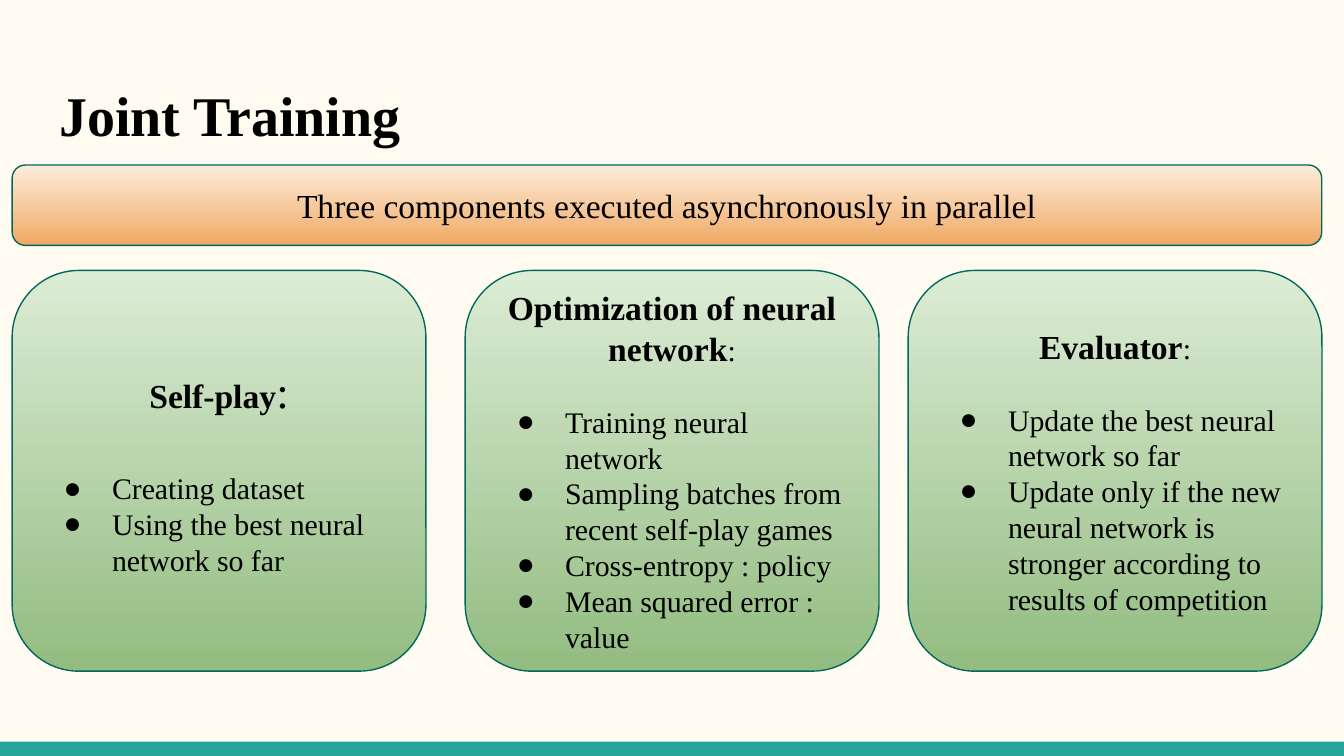
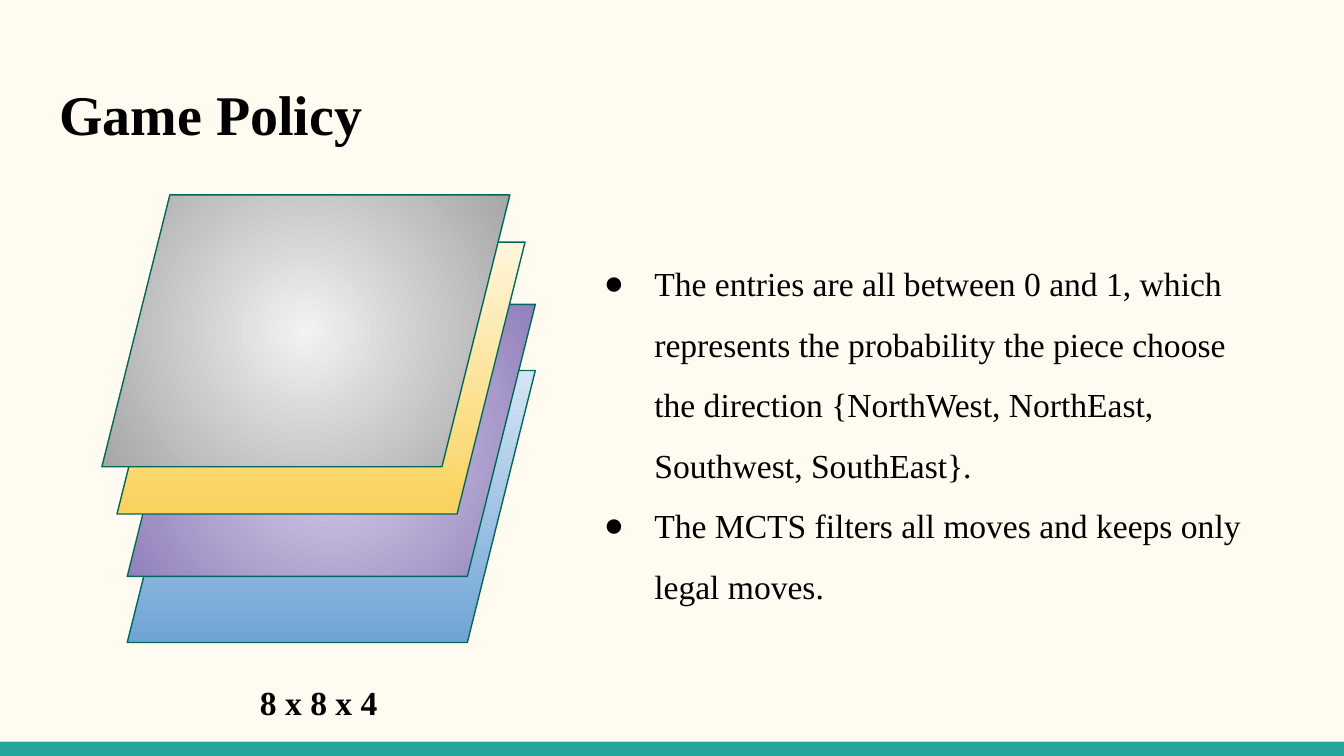
from lxml import etree
from pptx import Presentation
from pptx import util as u
from pptx.dml.color import RGBColor
from pptx.enum import shapes, text
from pptx.oxml.ns import qn

Pt = u.Pt
FONT = "Times New Roman"
COLORS = {
    "page": "FFFBF0", "bar": "26A69A", "line": "00695C", "ink": "000000",
    "green": ("DCECD5", "93BC81"), "orange": ("FDECDB", "F0A963"),
    "blue": ("D4E5F5", "70A4D5"), "purple": ("DBD4EB", "9180BB"),
    "yellow": ("FFF6DB", "FAD25C"), "gray": ("F2F2F2", "A6A6A6"),
}
LEFT, CENTER = text.PP_ALIGN.LEFT, text.PP_ALIGN.CENTER
TOP, MIDDLE = text.MSO_ANCHOR.TOP, text.MSO_ANCHOR.MIDDLE


def rgb(name):
    return RGBColor.from_string(COLORS[name])


class Deck:
    def __init__(self):
        self.prs = Presentation()
        self.prs.slide_width, self.prs.slide_height = Pt(720), Pt(405)
        fill = self.prs.slide_master.background.fill
        fill.solid()
        fill.fore_color.rgb = rgb("page")
        self.s = None

    def slide(self, title, top):
        self.s = self.prs.slides.add_slide(self.prs.slide_layouts[5])
        bar = self.shape(shapes.MSO_SHAPE.RECTANGLE, 0, 397.4, 720, 7.6)
        bar.fill.solid()
        bar.fill.fore_color.rgb = rgb("bar")
        bar.line.fill.background()
        sp = self.s.shapes.title
        sp.left, sp.top, sp.width, sp.height = map(Pt, (24.5, top, 671, 48.2))
        tf = self.frame(sp, TOP)
        self.para(tf, [(title, 30, True)])

    def shape(self, kind, x, y, w, h):
        sp = self.s.shapes.add_shape(kind, Pt(x), Pt(y), Pt(w), Pt(h))
        sp.shadow.inherit = False
        return sp

    def gradient(self, kind, x, y, w, h, color, radial=False):
        sp = self.shape(kind, x, y, w, h)
        sp.line.color.rgb = rgb("line")
        sp.line.width = Pt(0.75)
        sp.fill.gradient()
        sp.fill.gradient_angle = 270
        for stop, value in zip(sp.fill.gradient_stops, COLORS[color]):
            stop.color.rgb = RGBColor.from_string(value)
        if radial:
            grad = sp._element.spPr.find(qn("a:gradFill"))
            grad.remove(grad.find(qn("a:lin")))
            circle = etree.SubElement(grad, qn("a:path"), {"path": "circle"})
            etree.SubElement(circle, qn("a:fillToRect"),
                             dict.fromkeys("ltrb", "50000"))
        return sp

    def box(self, x, y, w, h):
        sp = self.s.shapes.add_textbox(Pt(x), Pt(y), Pt(w), Pt(h))
        return self.frame(sp, TOP)

    def frame(self, sp, anchor):
        tf = sp.text_frame
        inset = Pt(7.2)
        style = {"word_wrap": True, "auto_size": text.MSO_AUTO_SIZE.NONE,
                 "vertical_anchor": anchor, "margin_left": inset,
                 "margin_right": inset, "margin_top": inset,
                 "margin_bottom": inset}
        for key, value in style.items():
            setattr(tf, key, value)
        return tf

    def para(self, tf, runs, **style):
        p = tf.paragraphs[0]
        if p.runs:
            p = tf.add_paragraph()
        for key, value in {"alignment": LEFT, **style}.items():
            setattr(p, key, value)
        for words, size, bold in runs:
            r = p.add_run()
            r.text = words
            font = {"name": FONT, "size": Pt(size), "bold": bold}
            for key, value in font.items():
                setattr(r.font, key, value)
            r.font.color.rgb = rgb("ink")
        return p

    def bullets(self, tf, items, size, hang, **style):
        for item in items:
            p = self.para(tf, [(item, size, False)], **style)
            pPr = p._p.get_or_add_pPr()
            pPr.set("marL", str(Pt(36)))
            pPr.set("indent", str(-Pt(hang)))
            clr = etree.SubElement(pPr, qn("a:buClr"))
            etree.SubElement(clr, qn("a:srgbClr"), {"val": COLORS["ink"]})
            etree.SubElement(pPr, qn("a:buFont"), {"typeface": FONT})
            etree.SubElement(pPr, qn("a:buChar"), {"char": "●"})

    def card(self, x, heading, colon, gap, items):
        sp = self.gradient(shapes.MSO_SHAPE.ROUNDED_RECTANGLE,
                           x, 144.9, 221.7, 214.7, "green")
        tf = self.frame(sp, MIDDLE)
        self.para(tf, [(heading, 18, True), (":", colon, False)],
                  alignment=CENTER, space_after=Pt(gap))
        self.bullets(tf, items, 16, 25.9)


def joint_training(deck):
    deck.slide("Joint Training", 36.2)
    cards = [
        (6.5, "Self-play", 24, 28,
         ["Creating dataset", "Using the best neural network so far"]),
        (249.2, "Optimization of neural network", 16, 19,
         ["Training neural network",
          "Sampling batches from recent self-play games",
          "Cross-entropy : policy", "Mean squared error : value"]),
        (486.5, "Evaluator", 16, 19,
         ["Update the best neural network so far",
          "Update only if the new neural network is stronger "
          "according to results of competition"]),
    ]
    for card in cards:
        deck.card(*card)
    banner = deck.gradient(shapes.MSO_SHAPE.ROUNDED_RECTANGLE,
                           6.5, 88.4, 701.6, 43.1, "orange")
    deck.para(deck.frame(banner, MIDDLE),
              [("Three components executed asynchronously in parallel",
                18, False)], alignment=CENTER)


def game_policy(deck):
    deck.slide("Game Policy", 35.2)
    layers = [(68.2, 198.5, "blue", False), (68.2, 163.1, "purple", True),
              (62.7, 129.7, "yellow", False), (54.6, 104.4, "gray", True)]
    for x, y, color, radial in layers:
        deck.gradient(shapes.MSO_SHAPE.PARALLELOGRAM,
                      x, y, 218.6, 145.7, color, radial)
    deck.para(deck.box(132.2, 358, 545, 63.4), [("8 x 8 x 4", 18, True)])
    deck.bullets(deck.box(307.5, 123.1, 376.6, 213.8), [
        "The entries are all between 0 and 1, which represents the "
        "probability the piece choose the direction "
        "{NorthWest, NorthEast, Southwest, SouthEast}.",
        "The MCTS filters all moves and keeps only legal moves.",
    ], 18, 27, line_spacing=1.5)


def main():
    deck = Deck()
    joint_training(deck)
    game_policy(deck)
    deck.prs.save("out.pptx")


if __name__ == "__main__":
    main()
